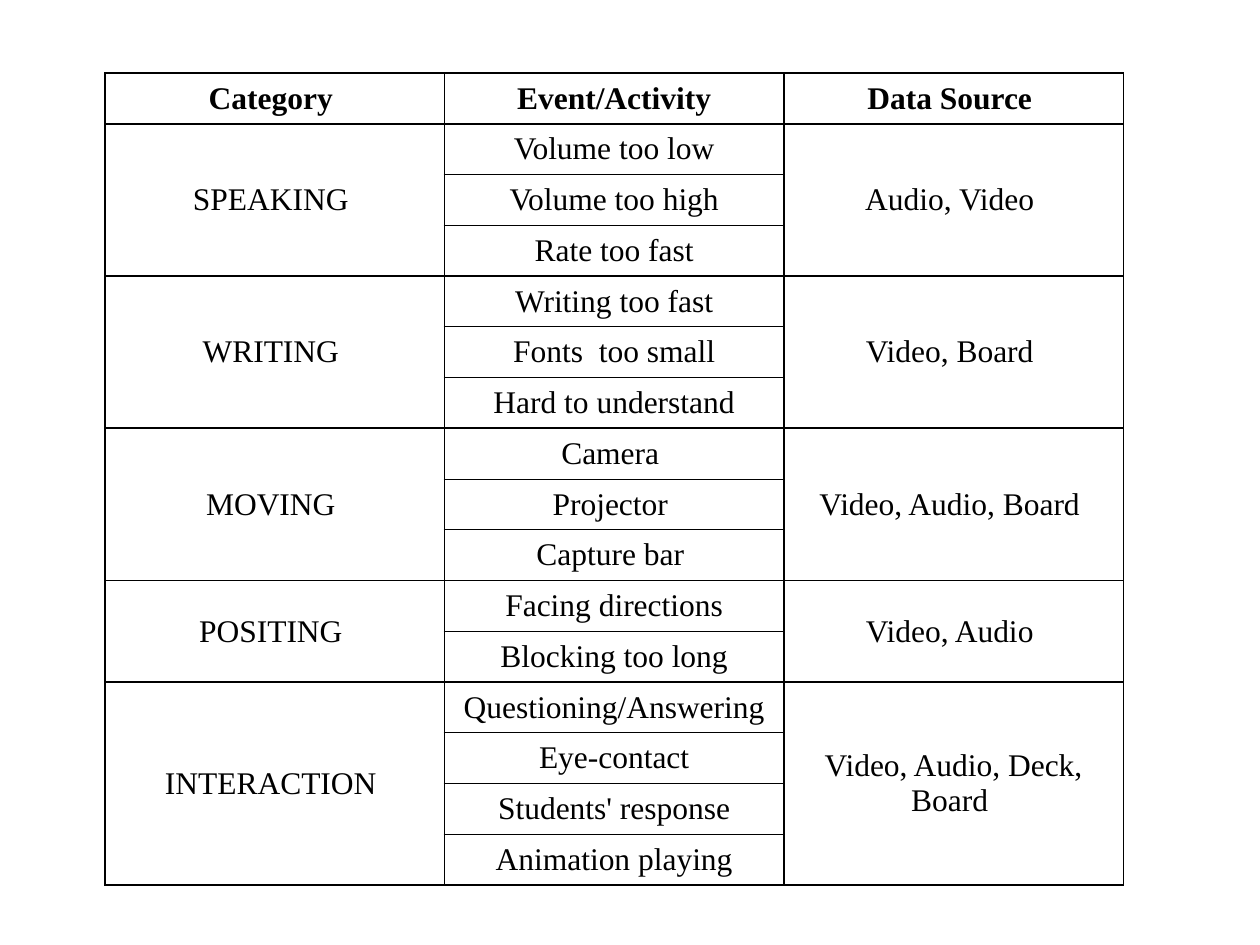
from dataclasses import dataclass

from lxml import etree
from pptx import Presentation
from pptx.dml.color import RGBColor
from pptx.enum import text
from pptx.oxml import ns
from pptx.util import Pt


@dataclass(frozen=True)
class Theme:
    ink: str = "000000"
    font: str = "Times New Roman"
    size: float = 18
    thick: float = 1.08
    thin: float = 0.45


theme = Theme()
heads = ["Category ", "Event/Activity", "Data Source "]
groups = [
    ("SPEAKING ", ["Volume too low", "Volume too high", "Rate too fast"],
     "Audio, Video "),
    ("WRITING ", ["Writing too fast", "Fonts  too small", "Hard to understand"],
     "Video, Board "),
    ("MOVING ", ["Camera ", "Projector ", "Capture bar "],
     "Video, Audio, Board "),
    ("POSITING ", ["Facing directions", "Blocking too long"],
     "Video, Audio "),
    ("INTERACTION ", ["Questioning/Answering", "Eye-contact",
                      "Students' response", "Animation playing"],
     "Video, Audio, Deck, Board "),
]


def rule(cell, side, width):
    """Draw one border of a cell; call in the order L, R, T, B."""
    props = cell._tc.get_or_add_tcPr()
    line = etree.SubElement(props, ns.qn(f"a:ln{side}"), w=str(Pt(width)))
    fill = etree.SubElement(line, ns.qn("a:solidFill"))
    etree.SubElement(fill, ns.qn("a:srgbClr"), val=theme.ink)


def style(cell, words, top, bottom, bold=False):
    for side, width in zip("LRTB", (theme.thick, theme.thick, top, bottom)):
        rule(cell, side, width)
    cell.fill.background()
    cell.vertical_anchor = text.MSO_ANCHOR.MIDDLE
    cell.text_frame.text = words
    para = cell.text_frame.paragraphs[0]
    para.alignment = text.PP_ALIGN.CENTER
    font = para.font
    if para.runs:
        font = para.runs[0].font
    font.name = theme.font
    font.size = Pt(theme.size)
    font.bold = bold
    font.color.rgb = RGBColor.from_string(theme.ink)


deck = Presentation()
deck.slide_width, deck.slide_height = Pt(720), Pt(540)
slide = deck.slides.add_slide(deck.slide_layouts[6])

count = 1 + sum(len(events) for _, events, _ in groups)
col_w, row_h = 194, 29
table = slide.shapes.add_table(
    count, 3, Pt(60), Pt(41.75), Pt(3 * col_w), Pt(count * row_h)).table
table.first_row = table.horz_banding = False
for col in table.columns:
    col.width = Pt(col_w)
for row in table.rows:
    row.height = Pt(row_h)

for col, head in enumerate(heads):
    style(table.cell(0, col), head, theme.thick, theme.thick, bold=True)

start = 1
for name, events, source in groups:
    last = len(events) - 1
    for i, event in enumerate(events):
        row = start + i
        top = theme.thin if i else theme.thick
        bottom = theme.thin if i < last else theme.thick
        style(table.cell(row, 1), event, top, bottom)
        for col, words in ((0, name), (2, source)):
            style(table.cell(row, col), "" if i else words,
                  theme.thick, theme.thick)
    for col in (0, 2):
        table.cell(start, col).merge(table.cell(start + last, col))
    start += len(events)

deck.save("out.pptx")
